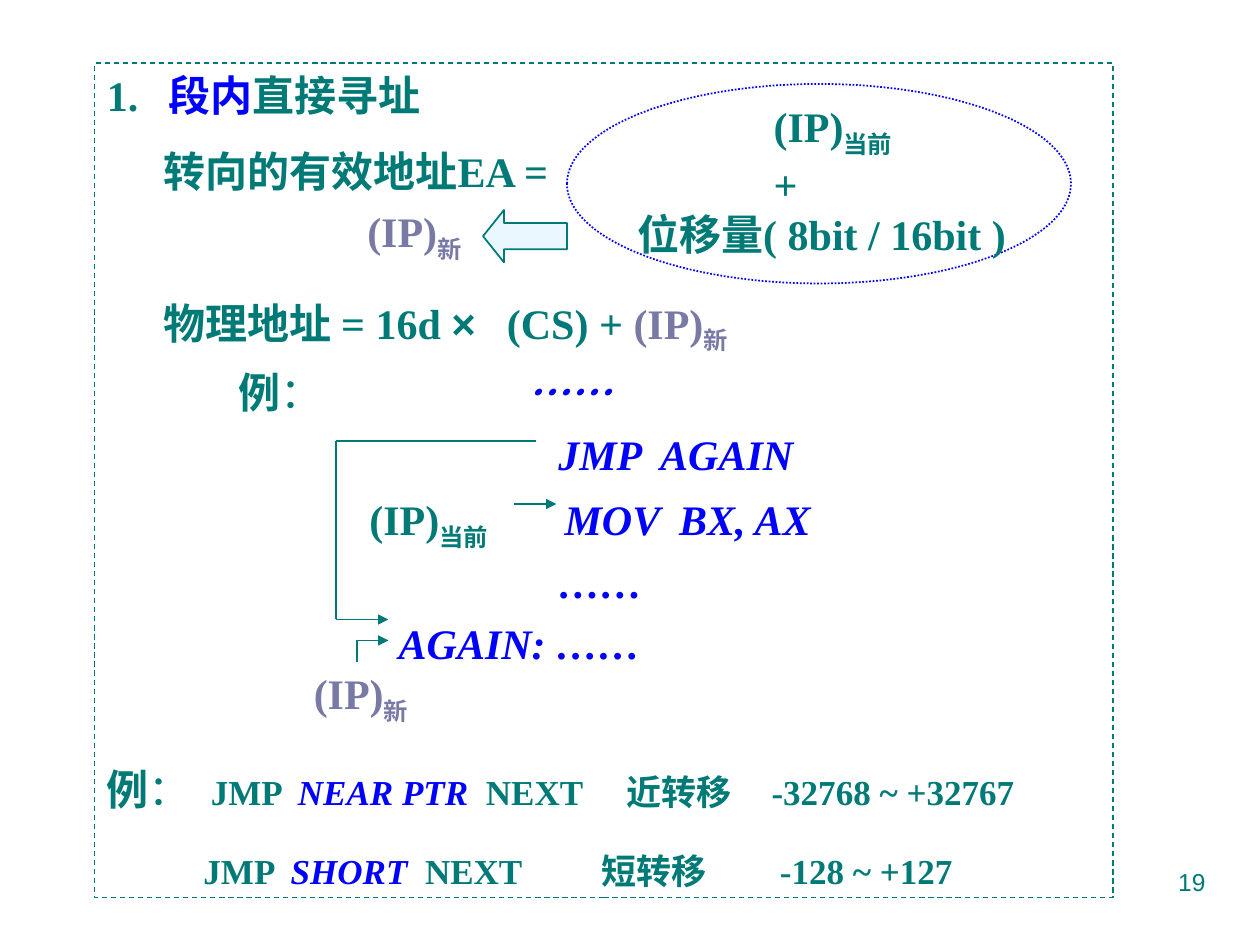
import pptx
import pptx.util
import pptx.dml.color
import pptx.enum.dml
import pptx.enum.shapes
import pptx.enum.text
import pptx.oxml
import pptx.oxml.ns

TEAL = pptx.dml.color.RGBColor(0x00, 0x7A, 0x77)
BLUE = pptx.dml.color.RGBColor(0x00, 0x00, 0xFF)
MAUVE = pptx.dml.color.RGBColor(0x79, 0x79, 0xA5)
PALE = pptx.dml.color.RGBColor(0xEB, 0xF7, 0xFF)
SERIF = "Times New Roman"
SANS = "Arial"

presentation = pptx.Presentation()
presentation.slide_width = pptx.util.Inches(10)
presentation.slide_height = pptx.util.Inches(7.5)
slide = presentation.slides.add_slide(presentation.slide_layouts[6])
shapes = slide.shapes
GRID = presentation.slide_width // 120  # the slide is 120 columns by 90 rows


def grid(*cells):
    return [round(cell * GRID) for cell in cells]


def write(text_frame, lines):
    """Fill a frame with (space before, line spacing, tab columns, runs) lines.

    A run is its text, colour and marks: b bold, i italic, s subscript,
    m smaller size, p page number size, a sans font.
    """
    text_frame.word_wrap = True
    text_frame.vertical_anchor = pptx.enum.text.MSO_ANCHOR.TOP
    for index, (before, spacing, tabs, runs) in enumerate(lines):
        paragraph = text_frame.paragraphs[0] if index == 0 else text_frame.add_paragraph()
        paragraph.alignment = pptx.enum.text.PP_ALIGN.LEFT
        if tabs:
            properties = paragraph._p.get_or_add_pPr()
            tab_list = pptx.oxml.ns.qn("a:tabLst")
            tab_list = properties.makeelement(tab_list, {})
            properties.append(tab_list)
            for position in grid(*tabs):
                tab = tab_list.makeelement(pptx.oxml.ns.qn("a:tab"), {"pos": str(position), "algn": "l"})
                tab_list.append(tab)
        paragraph.space_before = pptx.util.Pt(before)
        paragraph.line_spacing = spacing
        for text, colour, marks in runs:
            run = paragraph.add_run()
            run.text = text
            run.font.name = SANS if "a" in marks else SERIF
            run.font.size = pptx.util.Pt(14 if "p" in marks else 20 if "m" in marks else 24)
            run.font.bold = "b" in marks
            run.font.italic = "i" in marks
            run.font.color.rgb = colour
            if "s" in marks:
                run._r.get_or_add_rPr().set("baseline", "-25000")


# Page number
page_number = shapes.add_textbox(*grid(86, 82, 30, 6.2))
write(page_number.text_frame, [(0, 1.0, [], [("19", TEAL, "pa")])])
page_number.text_frame.paragraphs[0].alignment = pptx.enum.text.PP_ALIGN.RIGHT

# Outlined shapes: frame, ellipse around the sum, arrow to the new IP
KIND = pptx.enum.shapes.MSO_SHAPE
DASH = pptx.enum.dml.MSO_LINE
outlined = []
for kind, place, colour, width, dash in [
    (KIND.RECTANGLE, (9, 6, 97, 79.5), TEAL, 0.75, DASH.DASH),
    (KIND.OVAL, (54, 8, 48, 19), BLUE, 1, DASH.ROUND_DOT),
    (KIND.LEFT_ARROW, (46, 20, 8, 5), TEAL, 1, DASH.SOLID),
]:
    shape = shapes.add_shape(kind, *grid(*place))
    shape.shadow.inherit = False
    shape.fill.background()
    shape.line.color.rgb = colour
    shape.line.width = pptx.util.Pt(width)
    shape.line.dash_style = dash
    outlined.append(shape)
frame, ellipse, arrow = outlined
arrow.adjustments[0] = 0.5
arrow.adjustments[1] = 0.4
arrow.fill.solid()
arrow.fill.fore_color.rgb = PALE

# Main text
new_ip = [("(IP)", MAUVE, "b"), ("新", MAUVE, "bs")]
write(frame.text_frame, [
    (0, 1.0, [5.9], [("1.\t", TEAL, "b"), ("段内", BLUE, "b"), ("直接寻址", TEAL, "b")]),
    (15, 1.0, [5.4], [("\t转向的有效地址EA =", TEAL, "b")]),
    (57.6, 1.0, [5.4, 38.1], [("\t物理地址 = 16d ", TEAL, "b"), ("×", TEAL, "ba"),
                              ("\t(CS) + ", TEAL, "b")] + new_ip),
    (15, 0.7, [12.5, 40], [("\t例", TEAL, "b"), ("：", TEAL, ""), ("\t……", BLUE, "bi")]),
    (15, 0.7, [43, 52.7], [("\tJMP\tAGAIN", BLUE, "bi")]),
    (15, 0.7, [25, 43.6, 54.5], [("\t(IP)", TEAL, "b"), ("当前", TEAL, "bs"),
                                 ("\tMOV\tBX, AX", BLUE, "bi")]),
    (15, 0.7, [43], [("\t……", BLUE, "bi")]),
    (15, 0.7, [27.8], [("\tAGAIN: ……", BLUE, "bi")]),
    (70, 0.4, [9.9, 18.2, 36.1, 49.5, 63.3],
     [("例", TEAL, "b"), ("：", TEAL, ""), ("\tJMP", TEAL, "bm"), ("\tNEAR PTR", BLUE, "bim"),
      ("\tNEXT\t近转移\t-32768 ~ +32767", TEAL, "bm")]),
    (35, 0.4, [9.2, 17.5, 30.3, 47.1, 64.1],
     [("\tJMP", TEAL, "bm"), ("\tSHORT", BLUE, "bim"),
      ("\tNEXT\t短转移\t-128 ~ +127", TEAL, "bm")]),
])

# Sum inside the ellipse
ip_sum = shapes.add_textbox(*grid(58.5, 9, 39.5, 17))
ip_sum.text_frame.margin_right = 0
write(ip_sum.text_frame, [
    (0, 1.0, [14], [("\t(IP)", TEAL, "b"), ("当前", TEAL, "bs")]),
    (0, 1.0, [14], [("\t+", TEAL, "b")]),
    (0, 1.0, [1], [("\t位移量( 8bit / 16bit )", TEAL, "b")]),
])

# New IP labels
for left, top in [(33.8, 19), (28.7, 63)]:
    label = shapes.add_textbox(*grid(left, top, 12.4, 6.7))
    write(label.text_frame, [(0, 1.0, [], new_ip)])

# Jump path and pointers
for start_x, start_y, end_x, end_y, has_head in [
    (51, 42, 32, 42, False),
    (32, 42, 32, 59, False),
    (32, 59, 37, 59, True),
    (49, 48, 53, 48, True),
    (34, 63, 34, 61, False),
    (34, 61, 37, 61, True),
]:
    connector = shapes.add_connector(
        pptx.enum.shapes.MSO_CONNECTOR.STRAIGHT, *grid(start_x, start_y, end_x, end_y))
    connector.line.color.rgb = TEAL
    connector.line.width = pptx.util.Pt(1)
    properties = connector._element.spPr
    if has_head:
        line = connector.line._get_or_add_ln()
        line.append(line.makeelement(pptx.oxml.ns.qn("a:tailEnd"), {"type": "triangle"}))
    properties.append(properties.makeelement(pptx.oxml.ns.qn("a:effectLst"), {}))

presentation.save("out.pptx")
